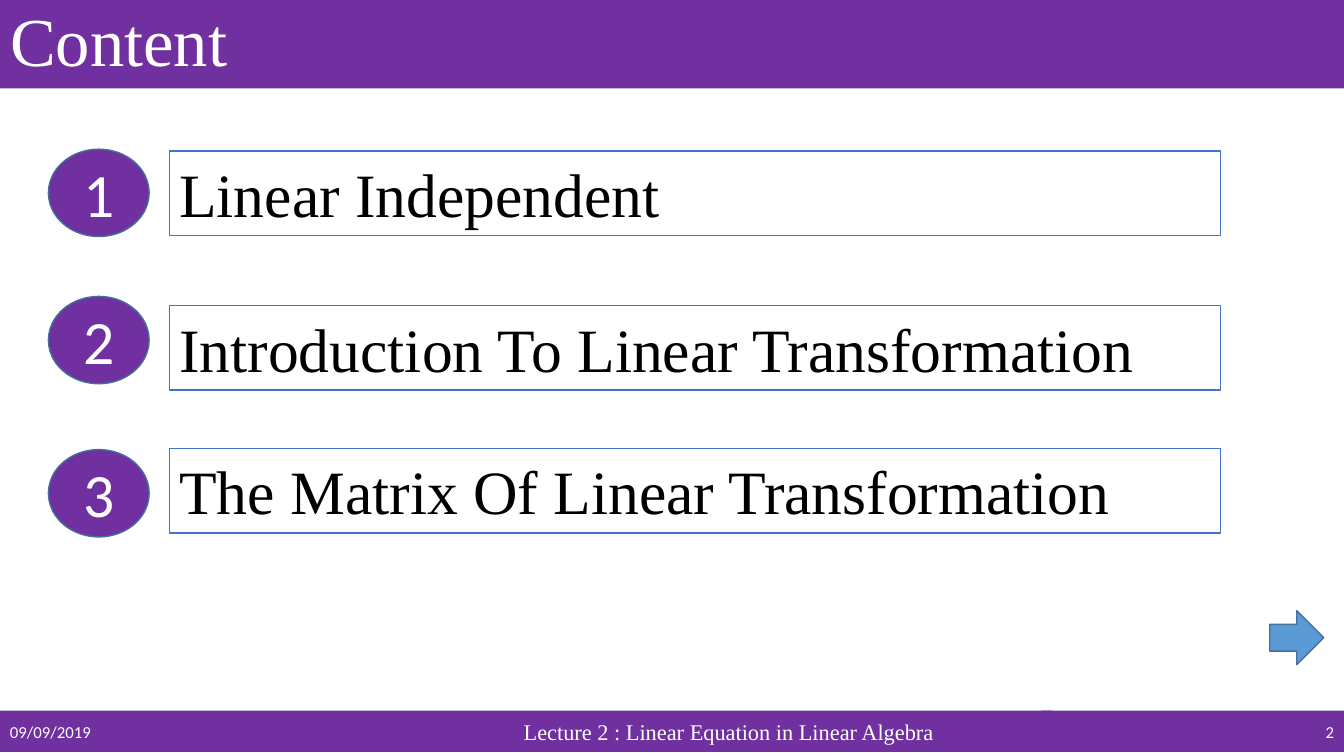
import dataclasses

import pptx
import pptx.dml.color
import pptx.enum.shapes
import pptx.enum.text
import pptx.util

Cm = pptx.util.Cm
SHAPE = pptx.enum.shapes.MSO_SHAPE
ALIGN = pptx.enum.text.PP_ALIGN
ANCHOR = pptx.enum.text.MSO_ANCHOR
AUTO_SIZE = pptx.enum.text.MSO_AUTO_SIZE


@dataclasses.dataclass(frozen=True)
class Theme:
    purple: str = "7030A0"
    white: str = "FFFFFF"
    black: str = "000000"
    arrow: str = "5B9BD5"
    outline: str = "41719C"
    box_line: str = "4472C4"
    serif: str = "Times New Roman"
    sans: str = "Calibri"
    title: int = 49
    topic: int = 44
    footer: int = 16
    small: int = 12


THEME = Theme()
SLIDE_W, SLIDE_H = 33.87, 19.05
TOPICS = [  # text, top of the number, top of the text box
    ("Linear Independent", 3.76, 3.81),
    ("Introduction To Linear Transformation", 7.47, 7.7),
    ("The Matrix Of Linear Transformation", 11.33, 11.3),
]


def rgb(color):
    return pptx.dml.color.RGBColor.from_string(color)


def place(sp, left, top, width, height):
    sp.left, sp.top, sp.width, sp.height = Cm(left), Cm(top), Cm(width), Cm(height)


def paint(sp, fill, line=None):
    sp.fill.solid()
    sp.fill.fore_color.rgb = rgb(fill)
    if line:
        sp.line.color.rgb = rgb(line)
        sp.line.width = pptx.util.Pt(1)
    else:
        sp.line.fill.background()


def write(sp, text, size, font, color, align=ALIGN.LEFT, anchor=ANCHOR.MIDDLE):
    tf = sp.text_frame
    tf.text = text
    tf.word_wrap = True
    tf.vertical_anchor = anchor
    p = tf.paragraphs[0]
    p.alignment = align
    r = p.runs[0]
    r.font.size = pptx.util.Pt(size)
    r.font.name = font
    r.font.color.rgb = rgb(color)


def add_shape(s, kind, box, fill, line=None):
    sp = s.shapes.add_shape(kind, *(Cm(v) for v in box))
    sp.shadow.inherit = False
    paint(sp, fill, line)
    return sp


def add_title(s, text, left, top, width, height):
    sp = s.shapes.title
    place(sp, left, top, width, height)
    paint(sp, THEME.purple)
    write(sp, text, THEME.title, THEME.serif, THEME.white)
    sp.text_frame.auto_size = AUTO_SIZE.NONE
    sp.text_frame.paragraphs[0].line_spacing = 0.9


def add_topics(s, left, width):
    """Number each topic in an oval, with its text box filling the rest of the width."""
    oval_w, oval_h, box_h, indent = 2.54, 2.2, 2.13, 3.05
    for number, (text, oval_top, box_top) in enumerate(TOPICS, 1):
        oval = add_shape(s, SHAPE.OVAL, (left, oval_top, oval_w, oval_h),
                         THEME.purple, THEME.outline)
        write(oval, str(number), THEME.topic, THEME.sans, THEME.white, ALIGN.CENTER)
        box = add_shape(s, SHAPE.RECTANGLE, (left + indent, box_top, width - indent, box_h),
                        THEME.white, THEME.box_line)
        write(box, text, THEME.topic, THEME.serif, THEME.black, anchor=ANCHOR.TOP)
        box.text_frame.auto_size = AUTO_SIZE.SHAPE_TO_FIT_TEXT


def add_footer(s, left, top, width, height):
    date_w, lecture_w, page_w = 10.21, 16.31, 7.62
    cells = [
        (left, date_w, "09/09/2019", THEME.small, THEME.sans, ALIGN.LEFT),
        (left + date_w, lecture_w, "Lecture 2 : Linear Equation in Linear Algebra",
         THEME.footer, THEME.serif, ALIGN.CENTER),
        (left + width - page_w, page_w, "2", THEME.small, THEME.sans, ALIGN.RIGHT),
    ]
    for cell_left, cell_w, text, size, font, align in cells:
        cell = add_shape(s, SHAPE.RECTANGLE, (cell_left, top, cell_w, height), THEME.purple)
        write(cell, text, size, font, THEME.white, align)


def add_content_slide(prs):
    s = prs.slides.add_slide(prs.slide_layouts[5])
    add_title(s, "Content", 0, 0, SLIDE_W, 2.23)
    add_shape(s, SHAPE.RIGHT_ARROW, (32, 15.39, 1.36, 1.36), THEME.arrow, THEME.outline)
    add_footer(s, 0, 17.91, SLIDE_W, 1.04)
    add_topics(s, 1.22, 29.54)


def main():
    prs = pptx.Presentation()
    prs.slide_width, prs.slide_height = Cm(SLIDE_W), Cm(SLIDE_H)
    add_content_slide(prs)
    prs.save("out.pptx")


if __name__ == "__main__":
    main()
